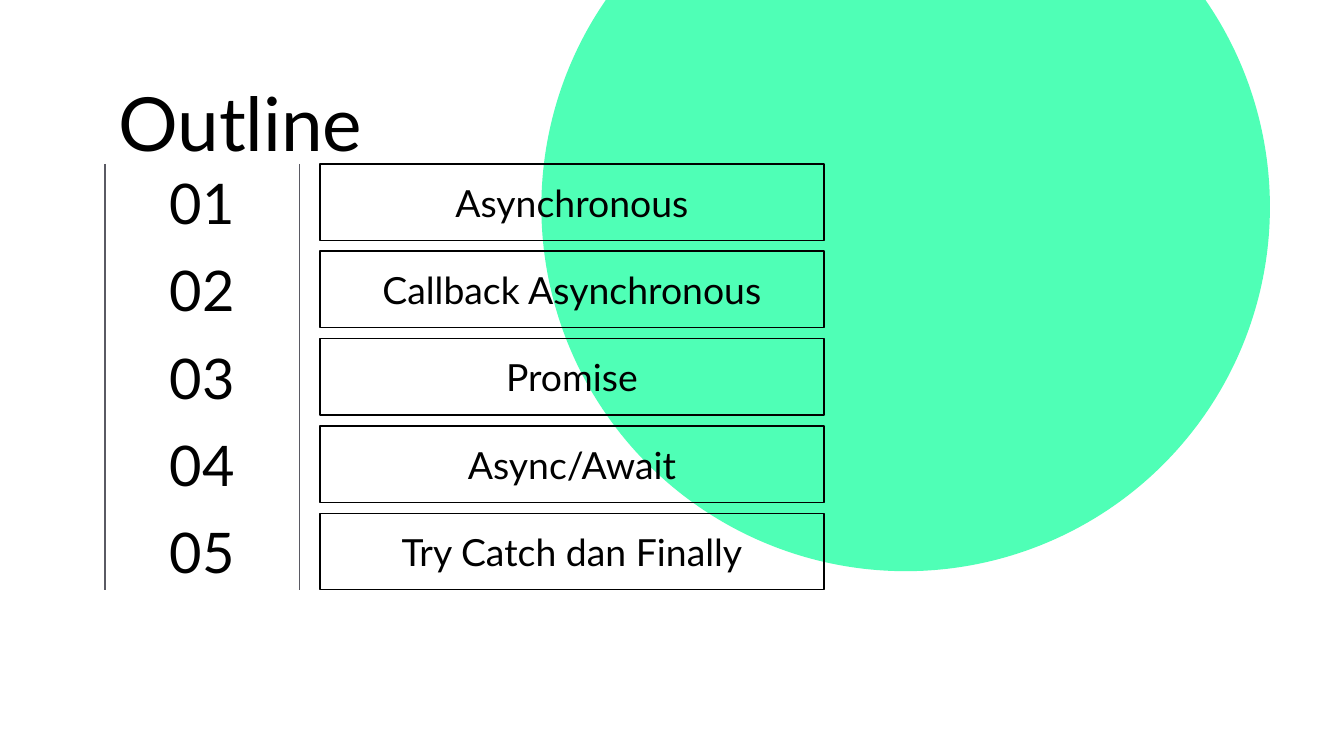
from dataclasses import dataclass

from lxml.etree import SubElement
from pptx import Presentation
from pptx.dml.color import RGBColor
from pptx.enum.shapes import MSO_CONNECTOR, MSO_SHAPE
from pptx.enum.text import MSO_ANCHOR, MSO_AUTO_SIZE, PP_ALIGN
from pptx.oxml.ns import qn
from pptx.util import Pt


@dataclass(frozen=True)
class Theme:
    font: str = "Lato"
    ink: str = "000000"
    rule: str = "5A5A63"
    mint: str = "4FFFB6"
    paper: str = "FFFFFF"
    head: int = 40
    mark: int = 30
    body: int = 20
    stroke: float = 0.75
    inset: float = 7.2


def color(code):
    return RGBColor.from_string(code)


def write(shape, text, *, theme, size, align=PP_ALIGN.CENTER):
    frame = shape.text_frame
    frame.text = text
    frame.word_wrap = True
    frame.auto_size = MSO_AUTO_SIZE.NONE
    frame.vertical_anchor = MSO_ANCHOR.MIDDLE
    frame.margin_left = frame.margin_right = Pt(theme.inset)
    frame.margin_top = frame.margin_bottom = Pt(theme.inset)
    line = frame.paragraphs[0]
    line.alignment = align
    font = line.runs[0].font
    font.name, font.size = theme.font, Pt(size)
    font.color.rgb = color(theme.ink)


class Painter:
    """Draws on one slide in one style; all lengths are in points."""

    def __init__(self, slide, theme):
        self.slide, self.theme = slide, theme
        self.shapes = slide.shapes
        fill = slide.background.fill
        fill.solid()
        fill.fore_color.rgb = color(theme.paper)

    def title(self, text, x, y, w, h):
        shape = self.shapes.title
        shape.left, shape.top, shape.width, shape.height = map(Pt, (x, y, w, h))
        write(shape, text, theme=self.theme, size=self.theme.head,
              align=PP_ALIGN.LEFT)

    def disc(self, x, y, size):
        """Add a plain circle behind everything else."""
        shape = self.shapes.add_shape(
            MSO_SHAPE.OVAL, Pt(x), Pt(y), Pt(size), Pt(size))
        shape.shadow.inherit = False
        shape.fill.solid()
        shape.fill.fore_color.rgb = color(self.theme.mint)
        shape.line.fill.background()
        self.shapes.element.insert(2, shape.element)

    def label(self, text, x, y, w, h):
        shape = self.shapes.add_textbox(Pt(x), Pt(y), Pt(w), Pt(h))
        write(shape, text, theme=self.theme, size=self.theme.mark)

    def box(self, text, x, y, w, h):
        shape = self.shapes.add_shape(
            MSO_SHAPE.RECTANGLE, Pt(x), Pt(y), Pt(w), Pt(h))
        shape.shadow.inherit = False
        shape.fill.background()
        shape.line.color.rgb = color(self.theme.ink)
        shape.line.width = Pt(self.theme.stroke)
        write(shape, text, theme=self.theme, size=self.theme.body)

    def rule(self, x, top, end):
        line = self.shapes.add_connector(
            MSO_CONNECTOR.STRAIGHT, Pt(x), Pt(top), Pt(x), Pt(end))
        line.line.color.rgb = color(self.theme.rule)
        line.line.width = Pt(self.theme.stroke)
        SubElement(line.element.spPr, qn("a:effectLst"))


def main():
    deck = Presentation()
    deck.slide_width, deck.slide_height = Pt(720), Pt(405)
    slide = deck.slides.add_slide(deck.slide_layouts[5])
    paint = Painter(slide, Theme())

    left, top = 56.2, 87.8
    span, height, step = 104.4, 41, 46.8
    topics = ["Asynchronous", "Callback Asynchronous", "Promise",
              "Async/Await", "Try Catch dan Finally"]

    paint.disc(290, -84.3, 390.3)
    paint.title("Outline", left, 42.5, 607.6, 45.4)
    for row, topic in enumerate(topics):
        y = top + row * step
        paint.label(f"{row + 1:02}", left, y + 3.6, span, height - 7.2)
        paint.box(topic, 171.4, y, 270, height)

    end = top + (len(topics) - 1) * step + height
    for x in (left, left + span):
        paint.rule(x, top, end)

    deck.save("out.pptx")


if __name__ == "__main__":
    main()
